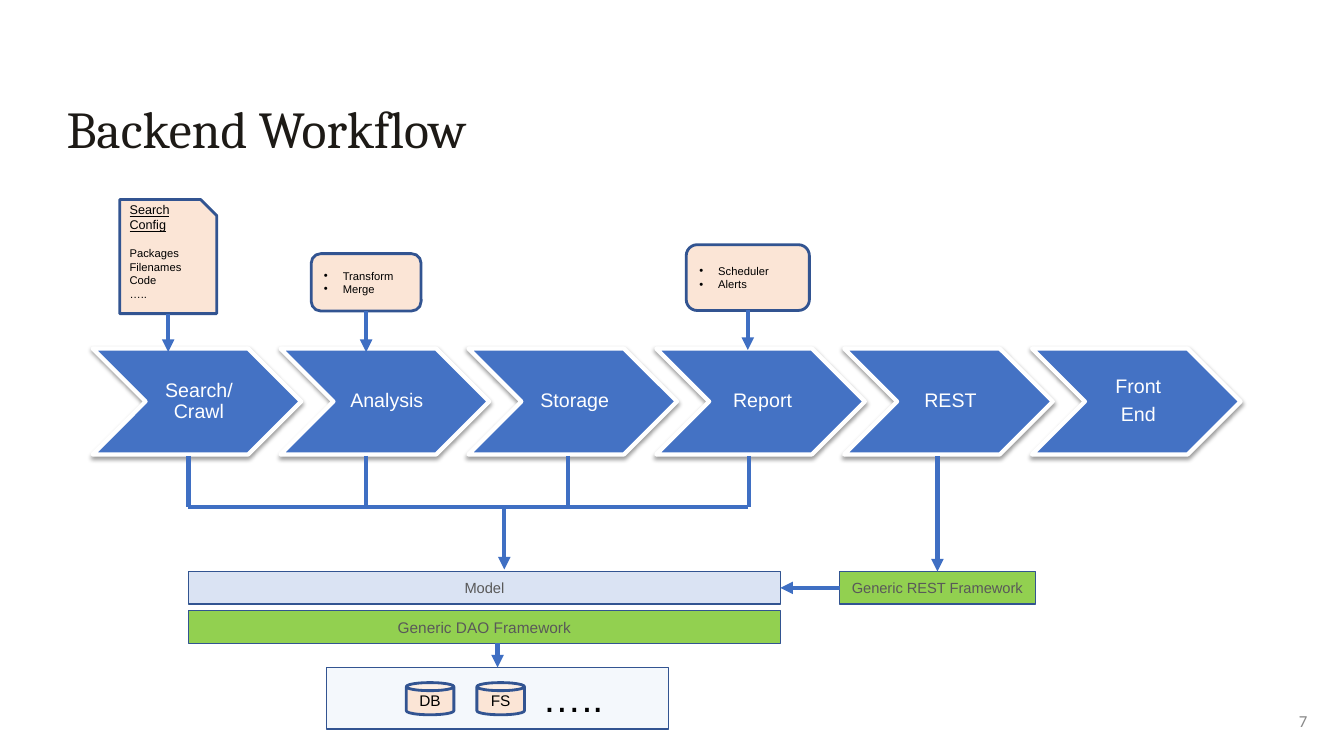
from lxml import etree
from pptx import Presentation
from pptx import util as u
from pptx.dml import color
from pptx.enum import shapes, text
from pptx.oxml import ns

Pt = u.Pt
SHAPE = shapes.MSO_SHAPE
ALIGN = text.PP_ALIGN
ANCHOR = text.MSO_ANCHOR
C = {
    "blue": "4472C4", "arrow": "3F6FC3", "edge": "325491", "peach": "FBE5D6",
    "green": "92D050", "model": "DAE3F3", "store": "DEEBF7", "white": "FFFFFF",
    "black": "000000", "gray": "595959", "number": "888888", "title": "1D1A16",
}


def rgb(name):
    return color.RGBColor.from_string(C[name])


def sub(parent, tag, **attrs):
    return etree.SubElement(parent, ns.qn(tag), attrs)


def write(tf, lines, size=8, ink="black", font="Arial", align=ALIGN.LEFT, anchor=ANCHOR.MIDDLE,
          margins=(7.2, 3.6, 7.2, 3.6), underline=None, spacing=None, after=0, bullet=False):
    tf.word_wrap = True
    tf.vertical_anchor = anchor
    tf.margin_left, tf.margin_top, tf.margin_right, tf.margin_bottom = map(Pt, margins)
    for line in lines.split("\n"):
        p = tf.add_paragraph() if tf.text else tf.paragraphs[0]
        p.alignment = align
        p.line_spacing = spacing
        p.space_after = Pt(after)
        if bullet:
            pPr = p._p.get_or_add_pPr()
            pPr.set("marL", str(Pt(13.5)))
            pPr.set("indent", str(-Pt(13.5)))
            sub(pPr, "a:buFont", typeface="Arial")
            sub(pPr, "a:buChar", char="•")
        r = p.add_run()
        r.text = line
        r.font.size = Pt(size)
        r.font.name = font
        r.font.underline = underline
        r.font.color.rgb = rgb(ink)


def add_box(s, kind, box, fill, line="edge", weight=2.0):
    sp = s.shapes.add_shape(kind, *map(Pt, box))
    sp.shadow.inherit = False
    sp.fill.solid()
    sp.fill.fore_color.rgb = rgb(fill)
    sp.line.color.rgb = rgb(line)
    sp.line.width = Pt(weight)
    return sp


def add_label(s, box, words, **fmt):
    tf = s.shapes.add_textbox(*map(Pt, box)).text_frame
    write(tf, words, **fmt)


def add_line(s, x1, y1, x2, y2, head=True, begin=None, end=None):
    c = s.shapes.add_connector(shapes.MSO_CONNECTOR.STRAIGHT, Pt(x1), Pt(y1), Pt(x2), Pt(y2))
    if begin:
        c.begin_connect(*begin)
    if end:
        c.end_connect(*end)
    c.line.color.rgb = rgb("arrow")
    c.line.width = Pt(3)
    if head:
        sub(c.line._get_or_add_ln(), "a:tailEnd", type="triangle")
    sub(c._element.spPr, "a:effectLst")


def add_title(s, box):
    sp = s.shapes.title
    sp.left, sp.top, sp.width, sp.height = map(Pt, box)
    write(sp.text_frame, "Backend Workflow", size=37, ink="title", font="Cambria", anchor=ANCHOR.TOP)


def add_stages(s, box):
    x, y, w, h = box
    names = ["Search/ Crawl", "Analysis", "Storage", "Report", "REST", "Front\nEnd"]
    stage_w = 149
    pitch = (w - stage_w) / (len(names) - 1)
    for i, name in enumerate(names):
        sp = add_box(s, SHAPE.CHEVRON, (x + i * pitch, y, stage_w, h), "blue", "white", 3)
        write(sp.text_frame, name, size=14, ink="white", align=ALIGN.CENTER, spacing=0.9,
              after=4.9, margins=(4.3, 1.4, 1.4, 1.4))
        effects = sp._element.spPr.find(ns.qn("a:effectLst"))
        shadow = sub(effects, "a:outerShdw", blurRad=str(Pt(3.1)), dist=str(Pt(1.6)), dir="5400000")
        sub(sub(shadow, "a:srgbClr", val=C["black"]), "a:alpha", val="38000")


def add_callout_arrow(s, sp, box, stage_top):
    x, y, w, h = box
    add_line(s, x + w / 2, y + h, x + w / 2, stage_top, begin=(sp, 2))


def add_config(s, box, stage_top):
    sp = add_box(s, SHAPE.SNIP_1_RECTANGLE, box, "peach")
    fmt = dict(margins=(7.2, 0, 7.2, 13.5))
    write(sp.text_frame, "Search Config", size=9, underline=True, after=10.4, **fmt)
    write(sp.text_frame, "Packages\nFilenames\nCode\n…..", **fmt)
    add_callout_arrow(s, sp, box, stage_top)


def add_task_list(s, box, items, stage_top):
    sp = add_box(s, SHAPE.ROUNDED_RECTANGLE, box, "peach")
    write(sp.text_frame, items, bullet=True)
    add_callout_arrow(s, sp, box, stage_top)


def add_bar(s, box, words, fill, size=10.5):
    sp = add_box(s, SHAPE.RECTANGLE, box, fill, weight=0.75)
    write(sp.text_frame, words, size=size, ink="gray", align=ALIGN.CENTER)
    return sp


def add_rail(s, box):
    x, y, w, h = box
    rail_y = y + 36.5
    add_line(s, x - 0.5, rail_y, x + w - 0.5, rail_y, head=False)
    for dx in (0, 126.7, 271, w):
        add_line(s, x + dx, y, x + dx, rail_y, head=False)
    add_line(s, x + 225.5, rail_y, x + 225.5, y + h)


def add_data_layer(s, box):
    x, y, w, h = box
    model = add_bar(s, (x, y, w, h), "Model", "model")
    dao_y = y + 28
    add_bar(s, (x, dao_y, w, h), "Generic DAO Framework", "green", 11)
    store = add_store(s, (x + 98.7, y + 68.5, 244, 44))
    add_line(s, x + 220.7, dao_y + h, x + 220.7, y + 68.5, end=(store, 0))
    return model


def add_store(s, box):
    x, y, w, h = box
    store = add_box(s, SHAPE.RECTANGLE, box, "store", weight=1)
    fill = store._element.spPr.find(ns.qn("a:solidFill"))
    sub(fill[0], "a:alpha", val="32000")
    for i, name in enumerate(("DB", "FS")):
        can = add_box(s, SHAPE.CAN, (x + 56.8 + i * 50.4, y + 10.8, 34, 23), "peach")
        write(can.text_frame, name, size=11, align=ALIGN.CENTER, margins=(0, 0, 0, 0))
    add_label(s, (x + 147, y + 0.7, 125, 41), "…..", size=28, anchor=ANCHOR.TOP)
    return store


def add_rest(s, box, stage_bottom, model):
    x, y, w, h = box
    rest = add_bar(s, box, "Generic REST Framework", "green")
    add_line(s, x + w / 2, stage_bottom, x + w / 2, y, end=(rest, 0))
    add_line(s, x, y + h / 2, x - 42, y + h / 2, begin=(rest, 1), end=(model, 3))


def add_workflow(prs):
    s = prs.slides.add_slide(prs.slide_layouts[5])
    add_title(s, (40.3, 65.5, 680, 56))
    add_stages(s, (66.2, 249, 820, 75.6))
    add_config(s, (85.5, 142.5, 69.3, 81.5), 251.5)
    add_task_list(s, (222.3, 181.2, 78.5, 41), "Transform\nMerge", 251.5)
    add_task_list(s, (490.2, 174.8, 88, 47), "Scheduler\nAlerts", 250)
    add_rail(s, (134.7, 325.7, 400.2, 81.1))
    model = add_data_layer(s, (134.7, 408.3, 422.7, 23.2))
    add_rest(s, (599.7, 408.3, 139.8, 23.2), 326, model)
    add_label(s, (725, 500.5, 216, 28.8), "7", size=12, ink="number", font="Calibri", align=ALIGN.RIGHT)


def main():
    prs = Presentation()
    prs.slide_width, prs.slide_height = Pt(960), Pt(540)
    add_workflow(prs)
    prs.save("out.pptx")


if __name__ == "__main__":
    main()
